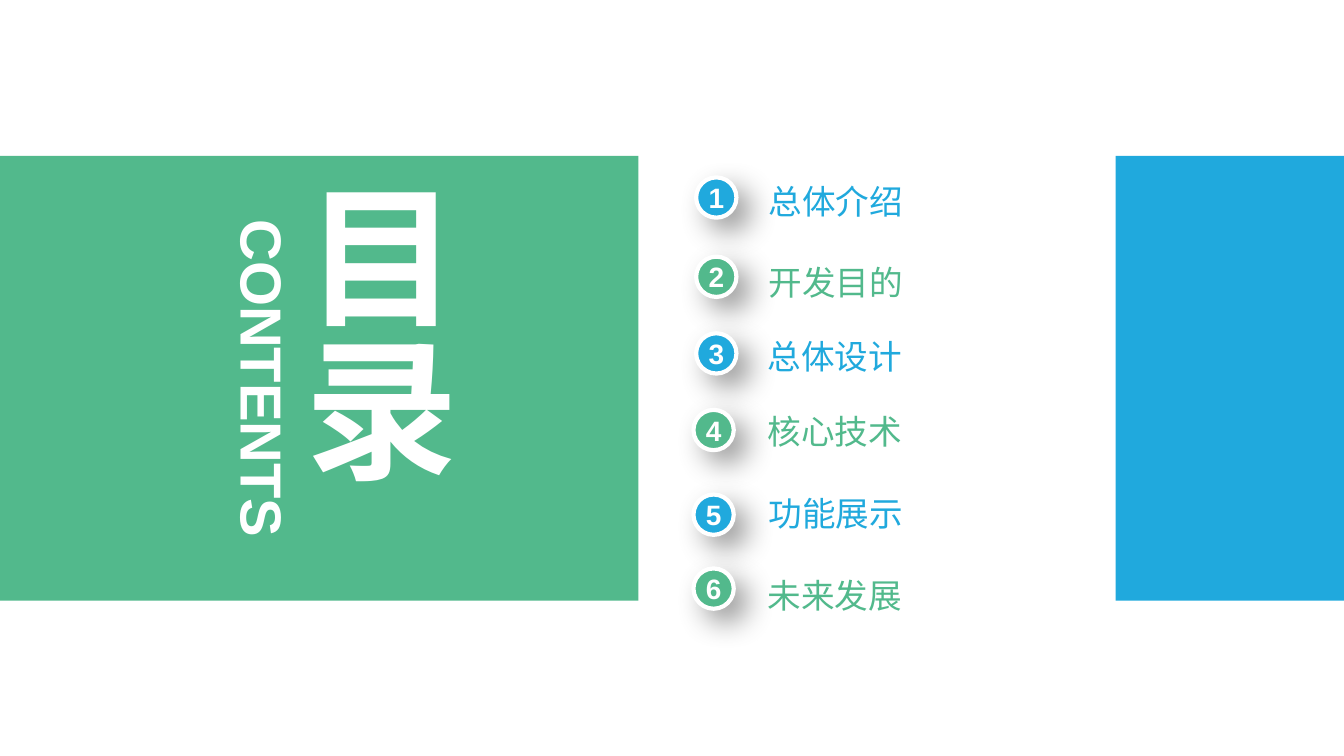
from dataclasses import dataclass

from lxml import etree
from pptx import Presentation
from pptx.dml.color import RGBColor
from pptx.enum.shapes import MSO_SHAPE
from pptx.enum.text import MSO_ANCHOR, PP_ALIGN
from pptx.oxml.ns import qn
from pptx.util import Inches, Pt

RECTANGLE, OVAL = MSO_SHAPE.RECTANGLE, MSO_SHAPE.OVAL
TOP, MIDDLE = MSO_ANCHOR.TOP, MSO_ANCHOR.MIDDLE
LEFT, CENTER = PP_ALIGN.LEFT, PP_ALIGN.CENTER

GREEN, BLUE, WHITE, BLACK = "52B98C", "20A9DD", "FFFFFF", "000000"
BAND_TOP, BAND_HEIGHT = 1.16, 3.31
BADGE_SIZE = 0.3
ENTRY_WIDTH, ENTRY_HEIGHT = 1.92, 0.3


@dataclass
class Entry:
    title: str
    badge_left: float
    badge_top: float
    title_left: float
    title_top: float


ENTRIES = [
    Entry("总体介绍", 5.18, 1.32, 5.72, 1.35),
    Entry("开发目的", 5.18, 1.91, 5.72, 1.95),
    Entry("总体设计", 5.18, 2.48, 5.71, 2.5),
    Entry("核心技术", 5.16, 3.05, 5.71, 3.06),
    Entry("功能展示", 5.16, 3.68, 5.72, 3.67),
    Entry("未来发展", 5.16, 4.23, 5.71, 4.28),
]


def rgb(color: str) -> RGBColor:
    return RGBColor.from_string(color)


def write(shape, text: str, size: float, color: str, bold: bool = False,
          align=CENTER, anchor=MIDDLE) -> None:
    frame = shape.text_frame
    layout = {"margin_left": 0, "margin_top": 0, "margin_right": 0, "margin_bottom": 0,
              "word_wrap": True, "vertical_anchor": anchor}
    for name, value in layout.items():
        setattr(frame, name, value)
    paragraph = frame.paragraphs[0]
    paragraph.alignment = align
    run = paragraph.add_run()
    run.text = text
    for name, value in {"name": "Arial", "size": Pt(size), "bold": bold}.items():
        setattr(run.font, name, value)
    run.font.color.rgb = rgb(color)


def add_filled(slide, kind, left: float, top: float, width: float, height: float, color: str):
    shape = slide.shapes.add_shape(kind, Inches(left), Inches(top), Inches(width), Inches(height))
    shape.shadow.inherit = False
    shape.fill.solid()
    shape.fill.fore_color.rgb = rgb(color)
    shape.line.fill.background()
    return shape


def add_label(slide, left: float, top: float, width: float, height: float):
    return slide.shapes.add_textbox(Inches(left), Inches(top), Inches(width), Inches(height))


def cast_shadow(shape) -> None:
    """Drop a soft shadow to the lower right."""
    effects = shape.element.spPr.find(qn("a:effectLst"))
    shadow = etree.SubElement(effects, qn("a:outerShdw"), blurRad=str(Pt(16)), dist=str(Pt(9)),
                              dir=str(45 * 60000), algn="tl", rotWithShape="0")
    tint = etree.SubElement(shadow, qn("a:srgbClr"), val=BLACK)
    etree.SubElement(tint, qn("a:alpha"), val="40000")


def add_entry(slide, number: int, entry: Entry) -> None:
    color = BLUE if number % 2 else GREEN
    badge = add_filled(slide, OVAL, entry.badge_left, entry.badge_top, BADGE_SIZE, BADGE_SIZE, color)
    badge.line.color.rgb = rgb(WHITE)
    badge.line.width = Pt(2.25)
    cast_shadow(badge)
    write(badge, str(number), 15, WHITE, bold=True)
    title = add_label(slide, entry.title_left, entry.title_top, ENTRY_WIDTH, ENTRY_HEIGHT)
    write(title, entry.title, 18, color, align=LEFT)


def main() -> None:
    deck = Presentation()
    deck.slide_width = Inches(10)
    deck.slide_height = deck.slide_width * 9 // 16
    slide = deck.slides.add_slide(deck.slide_layouts[6])

    add_filled(slide, RECTANGLE, -0.02, BAND_TOP, 4.77, BAND_HEIGHT, GREEN)
    add_filled(slide, RECTANGLE, 8.3, BAND_TOP, 1.71, BAND_HEIGHT, BLUE)

    heading = add_label(slide, 2.11, 1.34, 1.38, 2.95)
    write(heading, "目录", 82, WHITE, bold=True)
    heading.text_frame._txBody.bodyPr.set("vert", "eaVert")

    subheading = add_label(slide, 0.67, 2.55, 2.57, 0.53)
    subheading.rotation = 90
    write(subheading, "CONTENTS", 31, WHITE, bold=True, anchor=TOP)

    for number, entry in enumerate(ENTRIES, start=1):
        add_entry(slide, number, entry)

    deck.save("out.pptx")


if __name__ == "__main__":
    main()
